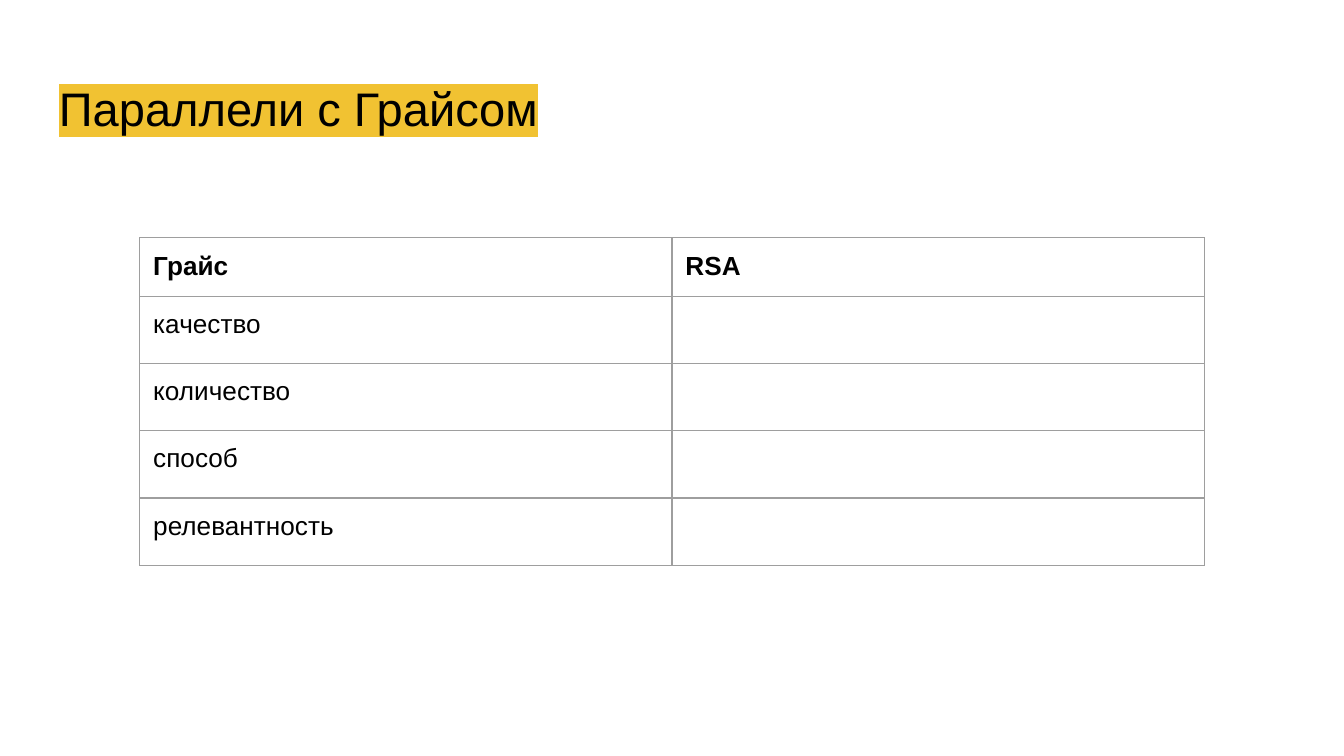
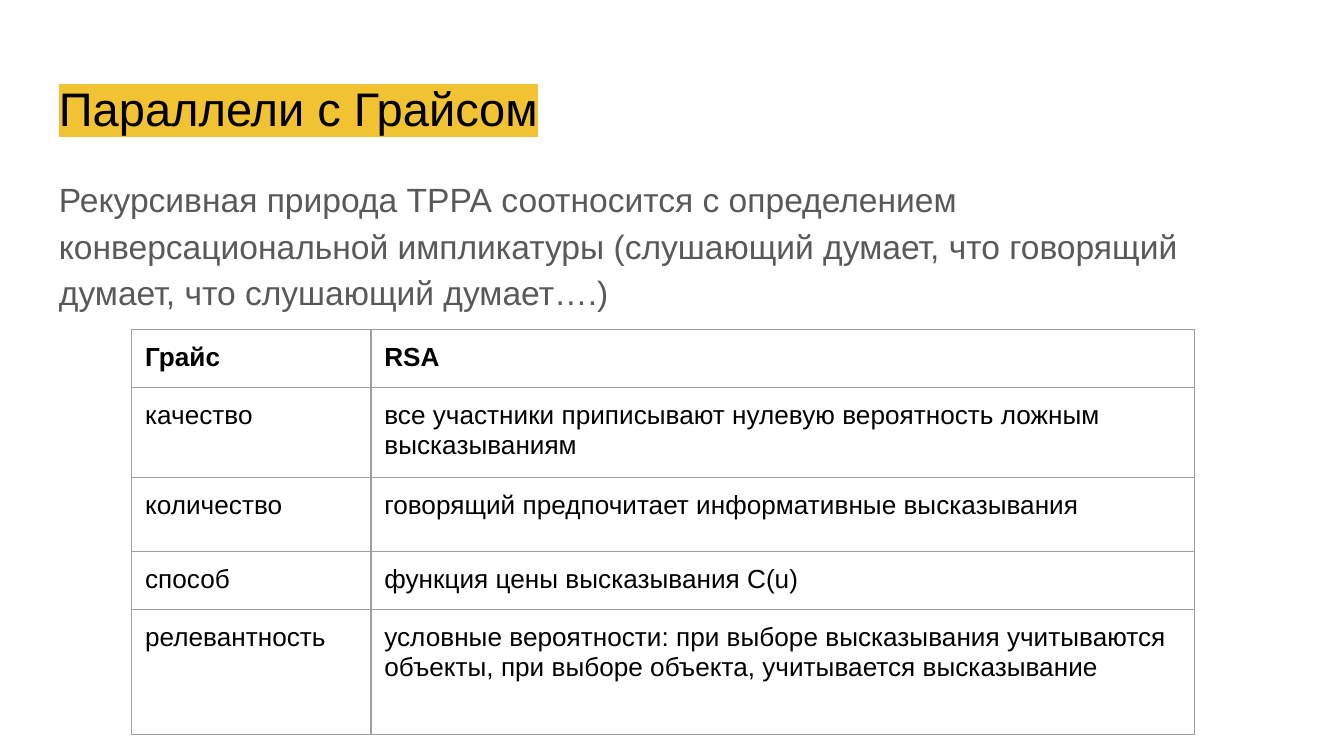
from lxml import etree
from pptx import Presentation
from pptx.dml.color import RGBColor
from pptx.enum import text
from pptx.oxml import ns
from pptx.util import Inches, Pt

BLACK = RGBColor(0x00, 0x00, 0x00)
GREY = RGBColor(0x59, 0x59, 0x59)
YELLOW = RGBColor(0xF1, 0xC2, 0x32)
BORDER = RGBColor(0x9E, 0x9E, 0x9E)

TITLE = "Параллели с Грайсом"
HEADER = ("Грайс", "RSA")
MAXIMS = ("качество", "количество", "способ", "релевантность")
RSA_ANALOGUES = (
    "все участники приписывают нулевую вероятность ложным высказываниям",
    "говорящий предпочитает информативные высказывания",
    "функция цены высказывания C(u)",
    "условные вероятности: при выборе высказывания учитываются объекты, "
    "при выборе объекта, учитывается высказывание",
)
RECURSION = (
    "Рекурсивная природа ТРРА соотносится с определением конверсациональной "
    "импликатуры (слушающий думает, что говорящий думает, что слушающий думает….)"
)


def add_color(parent, tag, color):
    holder = etree.SubElement(parent, ns.qn(tag))
    etree.SubElement(holder, ns.qn("a:srgbClr"), val=str(color))
    return holder


class Deck:
    """Holds the shared style and the slide being filled."""

    font_name = "Arial"
    left, width = Inches(0.34), Inches(9.32)
    inset = Inches(0.1)

    def __init__(self):
        self.prs = Presentation()
        self.prs.slide_width = Inches(10)
        self.prs.slide_height = self.prs.slide_width * 9 // 16
        self.slide = None
        self.set_default_font()

    def set_default_font(self):
        """Make unformatted text, such as empty cells, use the deck font."""
        for root in (self.prs.element, self.prs.slide_master.element):
            for latin in root.iter(ns.qn("a:latin")):
                latin.set("typeface", self.font_name)

    def new_slide(self, title):
        self.slide = self.prs.slides.add_slide(self.prs.slide_layouts[6])
        paragraph = self.textbox(title, 0.49, 0.63, 25.2, BLACK,
                                 text.MSO_ANCHOR.MIDDLE)
        self.highlight(paragraph.runs[0], YELLOW)

    def style(self, run, size, color, bold=False):
        run.font.name = self.font_name
        run.font.size = Pt(size)
        run.font.bold = bold
        run.font.color.rgb = color

    def highlight(self, run, color):
        props = run.font._element
        mark = add_color(props, "a:highlight", color)
        props.find(ns.qn("a:solidFill")).addnext(mark)

    def textbox(self, content, top, height, size, color, anchor):
        box = self.slide.shapes.add_textbox(
            self.left, Inches(top), self.width, Inches(height))
        frame = box.text_frame
        frame.word_wrap = True
        frame.vertical_anchor = anchor
        frame.margin_left = frame.margin_right = self.inset
        frame.margin_top = frame.margin_bottom = self.inset
        frame.text = content
        paragraph = frame.paragraphs[0]
        self.style(paragraph.runs[0], size, color)
        return paragraph

    def body(self, content):
        paragraph = self.textbox(content, 1.19, 3.74, 18, GREY,
                                 text.MSO_ANCHOR.TOP)
        paragraph.line_spacing = 1.15
        paragraph.space_after = Pt(12)

    def table(self, rows, left, top, widths, heights):
        table = self.slide.shapes.add_table(
            len(rows), len(widths), Inches(left), Inches(top),
            Inches(sum(widths)), Inches(sum(heights))).table
        table.first_row = table.horz_banding = False
        props = table._tbl.tblPr
        props.remove(props.find(ns.qn("a:tableStyleId")))
        for column, width in zip(table.columns, widths):
            column.width = Inches(width)
        for r, (values, height) in enumerate(zip(rows, heights)):
            table.rows[r].height = Inches(height)
            for c, value in enumerate(values):
                self.cell(table.cell(r, c), value, bold=r == 0)

    def cell(self, cell, value, bold):
        cell.margin_left = cell.margin_right = self.inset
        cell.margin_top = cell.margin_bottom = self.inset
        paragraph = cell.text_frame.paragraphs[0]
        if value:
            paragraph.text = value
            self.style(paragraph.runs[0], 14, BLACK, bold)
        end = etree.SubElement(paragraph._p, ns.qn("a:endParaRPr"),
                               sz="1400" if value else "1800")
        etree.SubElement(end, ns.qn("a:latin"), typeface=self.font_name)
        props = cell._tc.get_or_add_tcPr()
        for side in ("a:lnL", "a:lnR", "a:lnT", "a:lnB"):
            line = etree.SubElement(props, ns.qn(side), w=str(Pt(0.75)))
            add_color(line, "a:solidFill", BORDER)
        cell.fill.background()


def comparison(analogues):
    return [HEADER, *zip(MAXIMS, analogues)]


def main():
    deck = Deck()

    deck.new_slide(TITLE)
    deck.table(comparison([""] * len(MAXIMS)), 1.04, 1.77,
               [3.96] * 2, [0.42] * 5)

    deck.new_slide(TITLE)
    deck.body(RECURSION)
    deck.table(comparison(RSA_ANALOGUES), 0.98, 2.45,
               [1.78, 6.13], [0.43, 0.59, 0.55, 0.38, 0.93])

    deck.prs.save("out.pptx")


if __name__ == "__main__":
    main()
